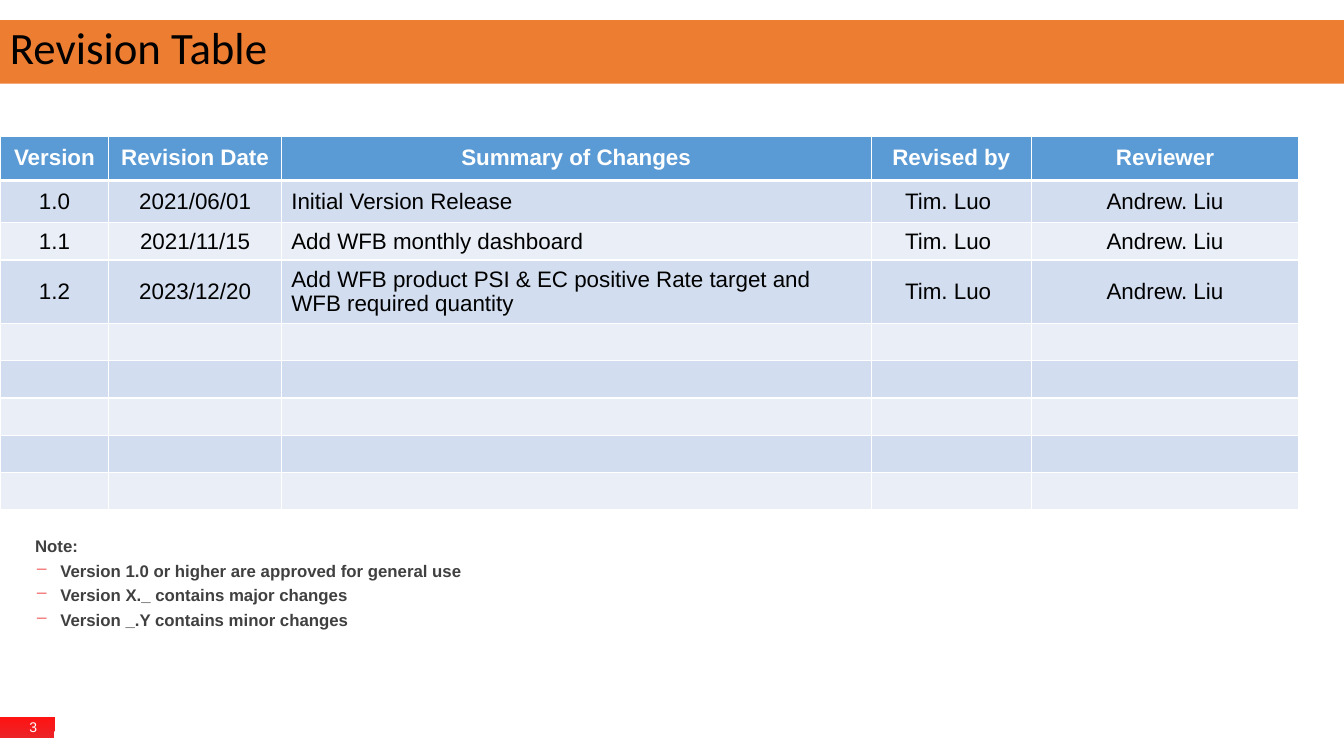
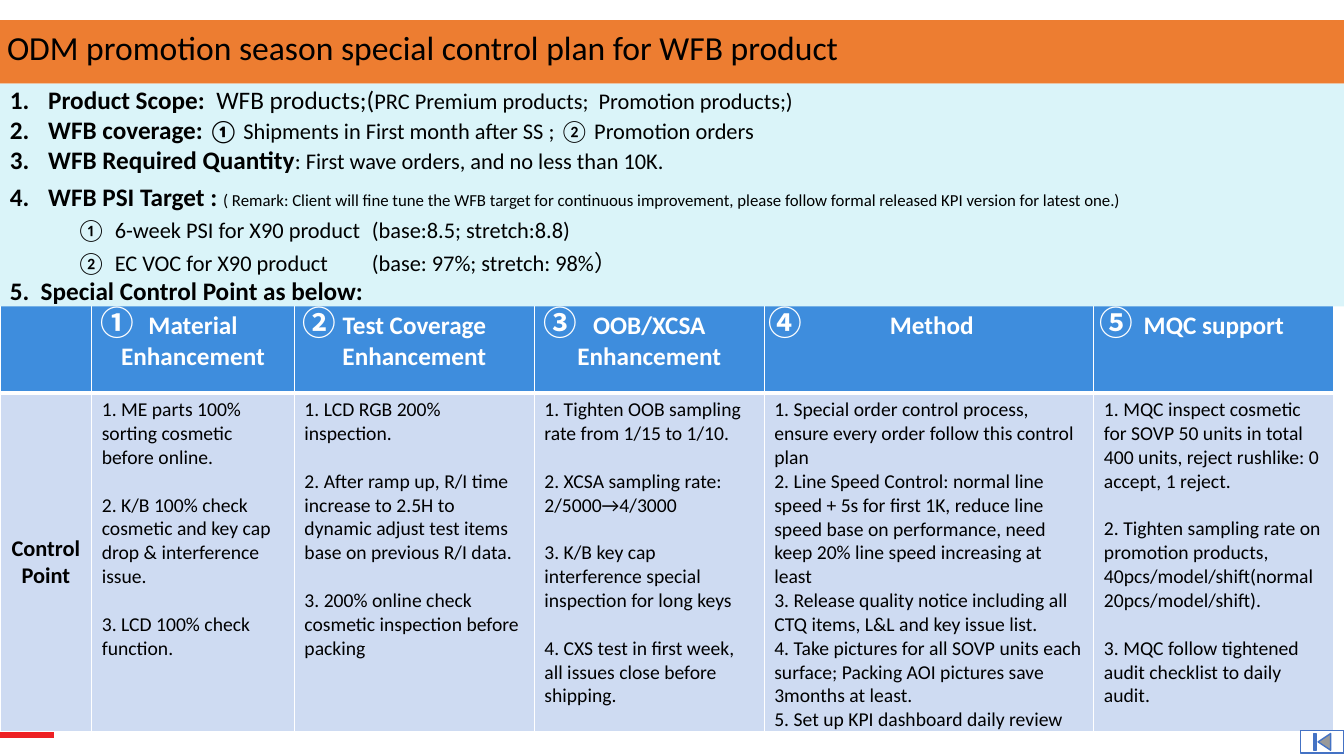
from dataclasses import dataclass
from typing import Optional, Sequence

from lxml import etree
from pptx import Presentation
from pptx import util as u
from pptx.dml.color import RGBColor
from pptx.enum import shapes, text
from pptx.oxml import ns

PX = 9144
WIDE, HIGH = 1333, 750
ORANGE, WHITE, BLACK, GRAY = "ED7D31", "FFFFFF", "000000", "404040"
RED, BRIGHT, PALE = "EC2225", "FF1313", "DAF4F9"
HEAD, ODD, EVEN = "5B9BD5", "D2DEEF", "EAEFF7"
PLAN, POINT, EDGE = "3E8DDD", "CEDBF2", "4472C4"
LEFT, MID = text.PP_ALIGN.LEFT, text.PP_ALIGN.CENTER
TOP, CORE = text.MSO_ANCHOR.TOP, text.MSO_ANCHOR.MIDDLE
RECT = shapes.MSO_SHAPE.RECTANGLE


@dataclass
class Run:
    text: str
    size: int
    bold: bool = False


@dataclass
class Para:
    runs: Sequence[Run]
    align: text.PP_ALIGN = LEFT
    font: str = "Calibri"
    color: str = BLACK
    before: float = 0
    lines: Optional[float] = None
    level: int = 0
    left: int = 0
    hang: int = 0
    mark: str = ""
    auto: str = ""
    tint: str = ""
    tabs: Sequence[int] = ()


@dataclass
class Box:
    x: int
    y: int
    w: int
    h: int


@dataclass
class Cell:
    paras: Sequence[Para]
    fill: str
    anchor: text.MSO_ANCHOR = CORE
    pad: Sequence[int] = (10, 0, 10, 0)


@dataclass
class Point:
    title: str
    width: int
    sign: str
    x: int
    items: Sequence[str]
    gap: int = 17


def px(n: int) -> u.Emu:
    return u.Emu(n * PX)


def rgb(code: str) -> RGBColor:
    return RGBColor.from_string(code)


def tag(host, name: str, **attrs):
    return etree.SubElement(host, ns.qn(f"a:{name}"), attrs)


def line(words: str, size: int, bold: bool = False, **kind) -> Para:
    return Para([Run(words, size, bold)], **kind)


def write(frame, paras: Sequence[Para]) -> None:
    for i, para in enumerate(paras):
        p = frame.paragraphs[0] if i == 0 else frame.add_paragraph()
        p.alignment, p.level = para.align, para.level
        if para.before and i:
            p.space_before = u.Pt(para.before)
        if para.lines:
            p.line_spacing = para.lines
        props = p._p.get_or_add_pPr()
        props.set("marL", str(px(para.left)))
        props.set("indent", str(px(-para.hang)))
        if para.tint:
            tag(tag(props, "buClr"), "srgbClr", val=para.tint)
        if para.mark:
            tag(props, "buChar", char=para.mark)
        elif para.auto:
            tag(props, "buAutoNum", type=para.auto)
        else:
            tag(props, "buNone")
        if para.tabs:
            stops = tag(props, "tabLst")
            for pos in para.tabs:
                tag(stops, "tab", pos=str(px(pos)), algn="l")
        p.font.name = para.font
        p.font.color.rgb = rgb(para.color)
        same = len({(r.size, r.bold) for r in para.runs}) == 1
        if same:
            p.font.size, p.font.bold = u.Pt(para.runs[0].size), para.runs[0].bold
        for part in para.runs:
            if not part.text:
                continue
            run = p.add_run()
            run.text = part.text
            if not same:
                run.font.size, run.font.bold = u.Pt(part.size), part.bold


def fit(frame, anchor=TOP, pad: Sequence[int] = (10, 5, 10, 5), wrap: bool = True) -> None:
    frame.word_wrap, frame.vertical_anchor = wrap, anchor
    frame.margin_left, frame.margin_top, frame.margin_right, frame.margin_bottom = map(px, pad)


def label(slide, box: Box, paras: Sequence[Para], **kind) -> None:
    shape = slide.shapes.add_textbox(px(box.x), px(box.y), px(box.w), px(box.h))
    fit(shape.text_frame, **kind)
    write(shape.text_frame, paras)


def block(slide, box: Box, fill: str, kind=RECT, edge: str = ""):
    shape = slide.shapes.add_shape(kind, px(box.x), px(box.y), px(box.w), px(box.h))
    shape.shadow.inherit = False
    shape.fill.solid()
    shape.fill.fore_color.rgb = rgb(fill)
    if edge:
        shape.line.color.rgb = rgb(edge)
        shape.line.width = u.Pt(1)
    else:
        shape.line.fill.background()
    return shape


def base(deck, page: str):
    slide = deck.slides.add_slide(deck.slide_layouts[6])
    block(slide, Box(0, 20, WIDE, 63), ORANGE)
    path = slide.shapes.build_freeform(0, 711, scale=PX)
    path.add_line_segments([(55, 711), (54, 732), (0, 732)])
    flag = path.convert_to_shape()
    flag.shadow.inherit = False
    flag.line.fill.background()
    flag.fill.gradient()
    for stop, code in zip(flag.fill.gradient_stops, (RED, BRIGHT)):
        stop.color.rgb = rgb(code)
    label(slide, Box(11, 713, 44, 17), [line(page, 10, align=MID, font="Arial", color=WHITE)],
          anchor=CORE, pad=(13, 0, 13, 0), wrap=False)
    return slide


def grid(slide, x: int, y: int, cols: Sequence[int], rows: Sequence[int],
         cells: Sequence[Sequence[Cell]]) -> None:
    table = slide.shapes.add_table(len(rows), len(cols), px(x), px(y),
                                   px(sum(cols)), px(sum(rows))).table
    table.first_row = table.horz_banding = False
    for col, w in zip(table.columns, cols):
        col.width = px(w)
    for r, (row, h) in enumerate(zip(table.rows, rows)):
        row.height = px(h)
        for cell, data in zip(row.cells, cells[r]):
            props = cell._tc.get_or_add_tcPr()
            thick = {"lnT": 3 if r == 1 else 1, "lnB": 3 if r == 0 else 1}
            for side in ("lnL", "lnR", "lnT", "lnB"):
                rule = tag(props, side, w=str(u.Pt(thick.get(side, 1))))
                tag(tag(rule, "solidFill"), "srgbClr", val=WHITE)
            cell.fill.solid()
            cell.fill.fore_color.rgb = rgb(data.fill)
            cell.vertical_anchor = data.anchor
            cell.margin_left, cell.margin_top, cell.margin_right, cell.margin_bottom = map(px, data.pad)
            write(cell.text_frame, data.paras)


def history(deck) -> None:
    slide = base(deck, "3")
    heads = ["Version", "Revision Date", "Summary of Changes", "Revised by", "Reviewer"]
    changes = [
        ("1.0", "2021/06/01", "Initial Version Release"),
        ("1.1", "2021/11/15", "Add WFB monthly dashboard"),
        ("1.2", "2023/12/20",
         "Add WFB product PSI & EC positive Rate target and WFB required quantity"),
    ]
    data = [(*c, "Tim. Luo ", "Andrew. Liu") for c in changes] + [("",) * 5] * 5
    cells = [[Cell([line(h, 16, True, align=MID, font="Arial", color=WHITE)], HEAD, pad=(8, 0, 8, 0))
              for h in heads]]
    for r, row in enumerate(data):
        cells.append([Cell([line(t, 16, align=LEFT if c == 2 else MID, font="Arial")],
                           EVEN if r % 2 else ODD) for c, t in enumerate(row)])
    grid(slide, 0, 135, [108, 171, 585, 159, 265], [44, 42, 37, 63] + [37] * 5, cells)
    title = block(slide, Box(0, 21, 1332, 48), ORANGE)
    fit(title.text_frame)
    write(title.text_frame, [line("Revision Table", 32, lines=0.9)])
    style = dict(font="Arial", color=GRAY, before=3, level=2, left=50, hang=25)
    notes = ["Version 1.0 or higher are approved for general use",
             "Version X._ contains major changes", "Version _.Y contains minor changes"]
    label(slide, Box(0, 527, 667, 113), [line("Note:", 12, True, **style)]
          + [line(n, 12, True, mark="−", tint=RED, **style) for n in notes])


POINTS = [
    Point("Material Enhancement", 201, "①", 90, [
        "1. ME parts 100% sorting cosmetic before online.",
        "2. K/B 100% check cosmetic and key cap drop & interference issue.",
        "3. LCD 100% check function."]),
    Point("Test Coverage Enhancement", 238, "②", 290, [
        "1. LCD RGB 200% inspection.",
        "2. After ramp up, R/I time increase to 2.5H to dynamic adjust test items base on "
        "previous R/I data.",
        "3. 200% online check cosmetic inspection before packing"]),
    Point("OOB/XCSA Enhancement", 228, "③", 529, [
        "1. Tighten OOB sampling rate from 1/15 to 1/10.",
        "2. XCSA sampling rate: 2/5000→4/3000",
        "3. K/B key cap interference special inspection for long keys",
        "4. CXS test in first week, all issues close before shipping."]),
    Point(" Method", 327, "④", 752, [
        "1. Special order control process, ensure every order follow this control plan",
        "2. Line Speed Control: normal line speed + 5s for first 1K, reduce line speed base on "
        "performance, need keep 20% line speed increasing at least",
        "3. Release quality notice including all CTQ items, L&L and key issue list.",
        "4. Take pictures for all SOVP units each surface; Packing AOI pictures save "
        "3months at least.",
        "5. Set up KPI dashboard daily review"], 0),
    Point("MQC support", 238, "⑤", 1081, [
        "1. MQC inspect cosmetic for SOVP 50 units in total 400 units, reject rushlike: "
        "0 accept, 1 reject.",
        "2. Tighten sampling rate on promotion products, "
        "40pcs/model/shift(normal 20pcs/model/shift).",
        "3. MQC follow tightened audit checklist to daily audit."]),
]


def control(deck) -> None:
    slide = base(deck, "11")
    pad = (10, 5, 10, 0)
    heads = [Cell([line(t, 18, True, align=MID, color=WHITE)], PLAN, TOP, pad)
             for t in ["", *(p.title for p in POINTS)]]
    body = [Cell([line("Control Point", 16, True, align=MID)], POINT)]
    body += [Cell([line(t, 14, before=p.gap) for t in p.items], POINT, TOP, pad) for p in POINTS]
    grid(slide, 0, 303, [91, *(p.width for p in POINTS)], [87, 336], [heads, body])

    scope = block(slide, Box(0, 83, WIDE, 221), PALE)
    fit(scope.text_frame, CORE)
    main = dict(left=38, hang=38, auto="arabicPeriod")
    sub = dict(level=1, left=104, hang=38, lines=1.2, auto="circleNumDbPlain", tabs=(255, 359))
    write(scope.text_frame, [
        Para([Run("Product Scope:  ", 18, True), Run("WFB products;(", 18),
              Run("PRC Premium products;  Promotion products;)", 16)], **main),
        Para([Run("WFB coverage: ", 18, True), Run("① ", 16, True),
              Run("Shipments in First month after SS ; ② Promotion orders", 16)], **main),
        Para([Run("WFB Required Quantity", 18, True),
              Run(": First wave orders, and no less than 10K.", 16)], **main),
        Para([Run("WFB PSI Target : ", 18, True),
              Run("( Remark: Client will fine tune the WFB target for continuous improvement, "
                  "please follow formal released KPI version for latest one.)", 12)],
             lines=1.2, **main),
        line("6-week PSI for X90 product\t(base:8.5; stretch:8.8)", 16, **sub),
        line("EC VOC for X90 product\t(base: 97%; stretch: 98%）", 16, **sub),
        line("5.  Special Control Point as below:", 18, True),
    ])
    for p in POINTS:
        label(slide, Box(p.x, 295, 43, 50),
              [line(p.sign, 24, True, font="Noto Sans CJK SC", color=WHITE)])
    label(slide, Box(7, 21, 1274, 57),
          [line("ODM promotion season special control plan for WFB product", 24, lines=0.9)],
          anchor=CORE, pad=(0, 0, 0, 0))
    block(slide, Box(1290, 725, 43, 22), WHITE, shapes.MSO_SHAPE.ACTION_BUTTON_BEGINNING, EDGE)


def main() -> None:
    deck = Presentation()
    deck.slide_width, deck.slide_height = px(WIDE), px(HIGH)
    history(deck)
    control(deck)
    deck.save("out.pptx")


if __name__ == "__main__":
    main()
